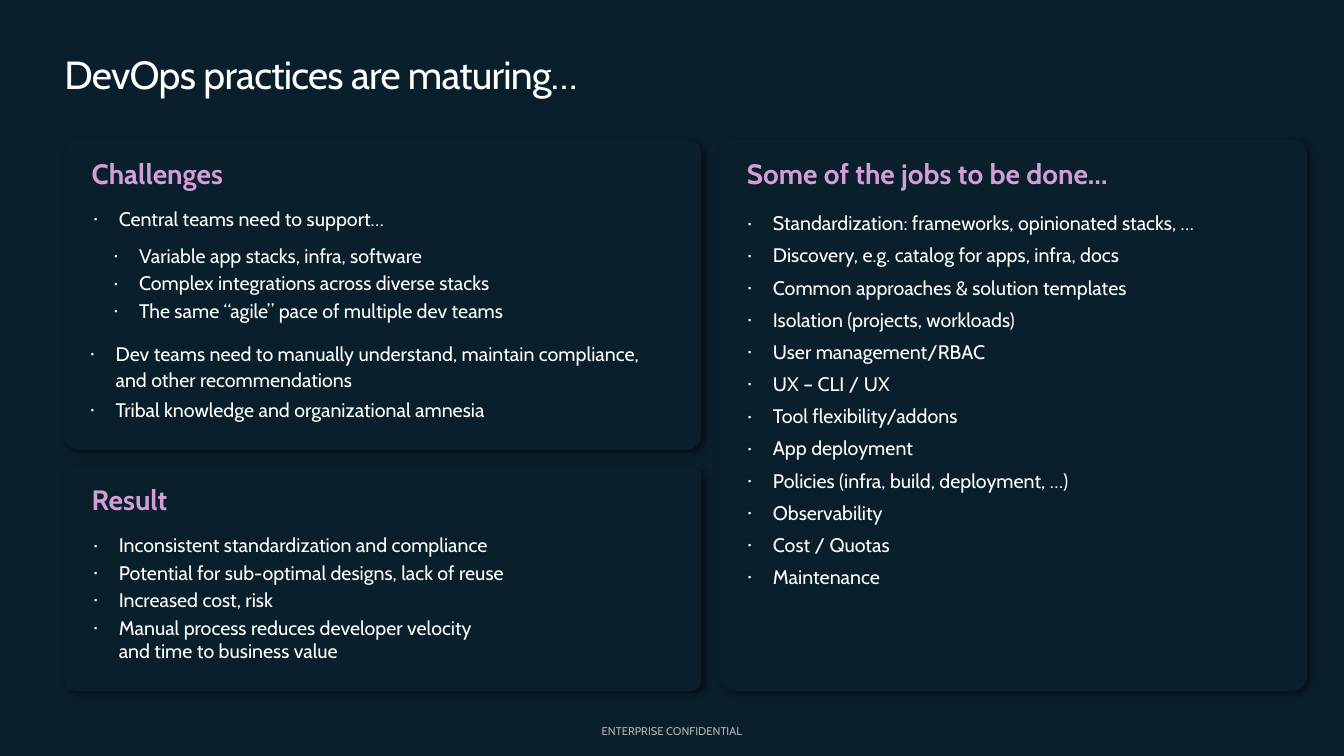
"""Build the slide on maturing DevOps practices."""
from dataclasses import dataclass

from lxml import etree
from pptx import Presentation
from pptx import util as u
from pptx.dml.color import RGBColor
from pptx.enum import shapes, text
from pptx.oxml import ns


@dataclass(frozen=True)
class Theme:
    """Colours, font and type sizes of the slide."""

    font: str = "Cabin"
    ground: str = "091F2C"
    accent: str = "D59ED7"
    body: str = "FFFFFF"
    muted: str = "B1B3B3"
    shadow: str = "000000"
    title_size: float = 28
    heading_size: float = 20
    body_size: float = 14
    footer_size: float = 8


@dataclass(frozen=True)
class Frame:
    """A rectangle in points."""

    left: float
    top: float
    width: float
    height: float


@dataclass(frozen=True)
class BulletList:
    """A bulleted text box and its line spacing."""

    frame: Frame
    items: tuple[str, ...]
    line_spacing: float = 1.0


@dataclass(frozen=True)
class Card:
    """A rounded panel with a heading and bullet lists."""

    frame: Frame
    corner: float
    heading: str
    lists: tuple[BulletList, ...]


THEME = Theme()
CARDS = (
    Card(Frame(46, 99.5, 455, 221.75), 0.048, "Challenges", (
        BulletList(Frame(41.75, 144, 408, 24.5), ("Central teams need to support…",)),
        BulletList(Frame(56.25, 170.5, 414, 65), (
            "Variable app stacks, infra, software",
            "Complex integrations across diverse stacks",
            "The same “agile” pace of multiple dev teams",
        )),
        BulletList(Frame(39.5, 239, 439, 65.5), (
            "Dev teams need to manually understand, maintain compliance, "
            "and other recommendations",
            "Tribal knowledge and organizational amnesia",
        ), 1.1),
    )),
    Card(Frame(46, 332.75, 455, 160.75), 0.048, "Result", (
        BulletList(Frame(41.75, 377.25, 431, 102), (
            "Inconsistent standardization and compliance",
            "Potential for sub-optimal designs, lack of reuse",
            "Increased cost, risk",
            "Manual process reduces developer velocity\vand time to business value",
        )),
    )),
    Card(Frame(514, 99.5, 419.75, 394), 0.027, "Some of the jobs to be done…", (
        BulletList(Frame(509, 144, 408, 287), (
            "Standardization: frameworks, opinionated stacks, …",
            "Discovery, e.g. catalog for apps, infra, docs",
            "Common approaches & solution templates",
            "Isolation (projects, workloads)",
            "User management/RBAC",
            "UX – CLI / UX",
            "Tool flexibility/addons",
            "App deployment",
            "Policies (infra, build, deployment, …)",
            "Observability",
            "Cost / Quotas",
            "Maintenance",
        ), 1.2),
    )),
)


def place(frame: Frame) -> tuple[u.Length, ...]:
    """Return the frame as lengths for python-pptx."""
    return tuple(u.Pt(value) for value in (frame.left, frame.top, frame.width, frame.height))


def style(paragraph, size: float, colour: str, bold: bool = False) -> None:
    """Format every run of a paragraph."""
    for span in paragraph.runs:
        span.font.name = THEME.font
        span.font.size = u.Pt(size)
        span.font.bold = bold
        span.font.color.rgb = RGBColor.from_string(colour)


def add_text(page, frame: Frame, words: str, inset: float | None = 0):
    """Add a wrapping text box, keeping default margins when inset is None."""
    box = page.shapes.add_textbox(*place(frame))
    body = box.text_frame
    body.word_wrap = True
    if inset is not None:
        body.margin_left = body.margin_right = u.Pt(inset)
        body.margin_top = body.margin_bottom = u.Pt(inset)
    body.text = words
    return body


def add_panel(page, card: Card) -> None:
    """Add the rounded panel with its soft shadow."""
    panel = page.shapes.add_shape(shapes.MSO_SHAPE.ROUNDED_RECTANGLE, *place(card.frame))
    panel.adjustments[0] = card.corner
    panel.fill.solid()
    panel.fill.fore_color.rgb = RGBColor.from_string(THEME.ground)
    panel.line.fill.background()
    panel.shadow.inherit = False
    effects = panel.element.spPr.find(ns.qn("a:effectLst"))
    shadow = etree.SubElement(
        effects, ns.qn("a:outerShdw"), blurRad=str(u.Pt(5)), dist=str(u.Pt(3)),
        dir="2700000", algn="tl", rotWithShape="0",
    )
    colour = etree.SubElement(shadow, ns.qn("a:srgbClr"), val=THEME.shadow)
    etree.SubElement(colour, ns.qn("a:alpha"), val="50000")


def add_bullets(page, bullets: BulletList) -> None:
    """Add a bulleted list with hanging indents."""
    body = add_text(page, bullets.frame, "\n".join(bullets.items), None)
    for index, paragraph in enumerate(body.paragraphs):
        properties = paragraph._p.get_or_add_pPr()
        properties.set("marL", str(u.Pt(36)))
        properties.set("indent", str(u.Pt(-18)))
        etree.SubElement(properties, ns.qn("a:buSzPct"), val="90000")
        etree.SubElement(properties, ns.qn("a:buFont"), typeface=THEME.font)
        etree.SubElement(properties, ns.qn("a:buChar"), char="·")
        paragraph.line_spacing = bullets.line_spacing
        if index:
            paragraph.space_before = u.Pt(2.8)
        style(paragraph, THEME.body_size, THEME.body)


def add_card(page, card: Card) -> None:
    """Add a panel, its heading and its lists."""
    add_panel(page, card)
    heading = Frame(card.frame.left + 19.5, card.frame.top + 12, 402.5, 24.5)
    body = add_text(page, heading, card.heading)
    style(body.paragraphs[0], THEME.heading_size, THEME.accent, bold=True)
    for bullets in card.lists:
        add_bullets(page, bullets)


def main() -> None:
    """Build and save the deck."""
    deck = Presentation()
    deck.slide_width, deck.slide_height = u.Pt(960), u.Pt(540)
    page = deck.slides.add_slide(deck.slide_layouts[6])
    page.background.fill.solid()
    page.background.fill.fore_color.rgb = RGBColor.from_string(THEME.ground)

    title = add_text(page, Frame(46, 36, 867.5, 34), "DevOps practices are maturing…")
    style(title.paragraphs[0], THEME.title_size, THEME.body)
    title.paragraphs[0].runs[0].font._element.set("spc", "-50")

    for card in CARDS:
        add_card(page, card)

    footer = add_text(page, Frame(321.75, 513.5, 316.5, 17), "ENTERPRISE CONFIDENTIAL", 3.6)
    footer.vertical_anchor = text.MSO_ANCHOR.MIDDLE
    footer.paragraphs[0].alignment = text.PP_ALIGN.CENTER
    style(footer.paragraphs[0], THEME.footer_size, THEME.muted)

    deck.save("out.pptx")


if __name__ == "__main__":
    main()
